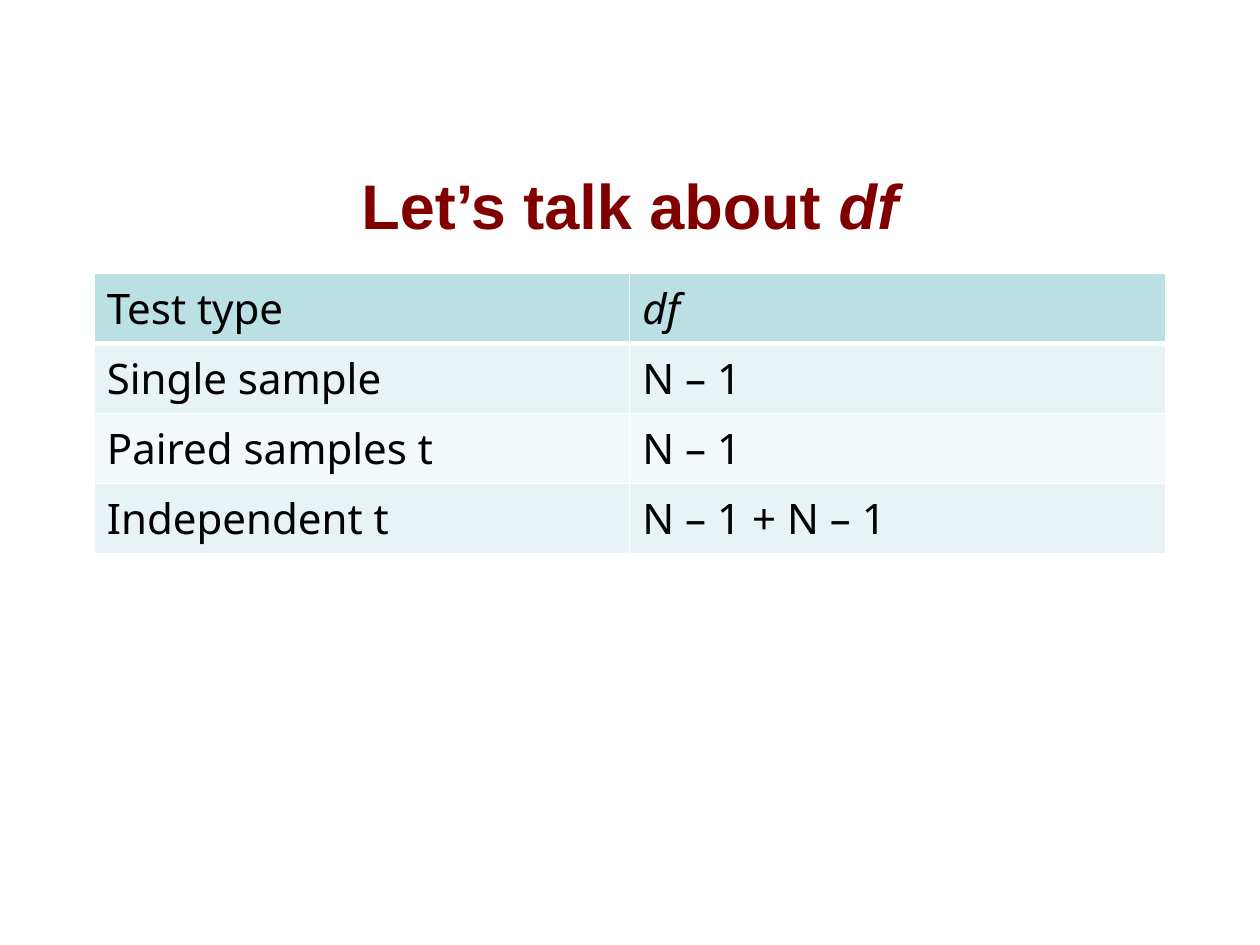
from dataclasses import dataclass

import lxml.etree
import pptx
import pptx.dml.color
import pptx.enum.text
import pptx.oxml.ns
import pptx.util

Cm = pptx.util.Cm
Pt = pptx.util.Pt
RGBColor = pptx.dml.color.RGBColor

MAROON = RGBColor(0x80, 0x00, 0x00)
BLACK = RGBColor(0x00, 0x00, 0x00)
WHITE = RGBColor(0xFF, 0xFF, 0xFF)
HEADER_FILL = RGBColor(0xBB, 0xE0, 0xE3)
BAND_FILLS = (RGBColor(0xE7, 0xF3, 0xF4), RGBColor(0xF3, 0xF9, 0xFA))

TITLE_FORMAT = {"name": "Arial", "size": Pt(36), "bold": True}
CELL_FORMAT = {"name": "Noto Sans", "size": Pt(24)}

LEFT, WIDTH = Cm(1.9), Cm(21.59)
ROW_HEIGHT = Cm(1.03)


@dataclass(frozen=True)
class TestRow:
    test_type: str
    degrees: str
    is_header: bool = False


TEST_ROWS = (
    TestRow("Test type", "df", is_header=True),
    TestRow("Single sample", "N – 1"),
    TestRow("Paired samples t", "N – 1"),
    TestRow("Independent t", "N – 1 + N – 1"),
)


def add_run(paragraph, text: str, font_format: dict, color: RGBColor, italic: bool = False) -> None:
    run = paragraph.add_run()
    run.text = text
    for name, value in {**font_format, "italic": italic}.items():
        setattr(run.font, name, value)
    run.font.color.rgb = color


def add_borders(cell, bottom_width: int) -> None:
    properties = cell._tc.get_or_add_tcPr()
    widths = {"a:lnL": 1, "a:lnR": 1, "a:lnT": 1, "a:lnB": bottom_width}
    for tag, width in widths.items():
        line = lxml.etree.SubElement(properties, pptx.oxml.ns.qn(tag), w=str(Pt(width)))
        fill = lxml.etree.SubElement(line, pptx.oxml.ns.qn("a:solidFill"))
        lxml.etree.SubElement(fill, pptx.oxml.ns.qn("a:srgbClr"), val=str(WHITE))


def fill_cell(cell, text: str, fill: RGBColor, italic: bool, bottom_width: int) -> None:
    add_borders(cell, bottom_width)
    cell.fill.solid()
    cell.fill.fore_color.rgb = fill
    add_run(cell.text_frame.paragraphs[0], text, CELL_FORMAT, BLACK, italic)


def add_title(slide) -> None:
    title = slide.shapes.title
    title.left, title.top, title.width, title.height = LEFT, Cm(3.38), WIDTH, Cm(1.47)
    title.text_frame.vertical_anchor = pptx.enum.text.MSO_ANCHOR.MIDDLE
    paragraph = title.text_frame.paragraphs[0]
    paragraph.alignment = pptx.enum.text.PP_ALIGN.CENTER
    add_run(paragraph, "Let’s talk about ", TITLE_FORMAT, MAROON)
    add_run(paragraph, "df", TITLE_FORMAT, MAROON, italic=True)


def add_test_table(slide, test_rows: tuple[TestRow, ...]) -> None:
    row_count = len(test_rows)
    frame = slide.shapes.add_table(row_count, 2, LEFT, Cm(5.51), WIDTH, ROW_HEIGHT * row_count)
    table = frame.table
    for index, test_row in enumerate(test_rows):
        header = test_row.is_header
        fill = HEADER_FILL if header else BAND_FILLS[(index - 1) % 2]
        bottom_width = 3 if header else 1
        fill_cell(table.cell(index, 0), test_row.test_type, fill, False, bottom_width)
        fill_cell(table.cell(index, 1), test_row.degrees, fill, header, bottom_width)


def main() -> None:
    presentation = pptx.Presentation()
    presentation.slide_width = Cm(25.4)
    presentation.slide_height = Cm(19.05)
    slide = presentation.slides.add_slide(presentation.slide_layouts[5])
    add_title(slide)
    add_test_table(slide, TEST_ROWS)
    presentation.save("out.pptx")


if __name__ == "__main__":
    main()
